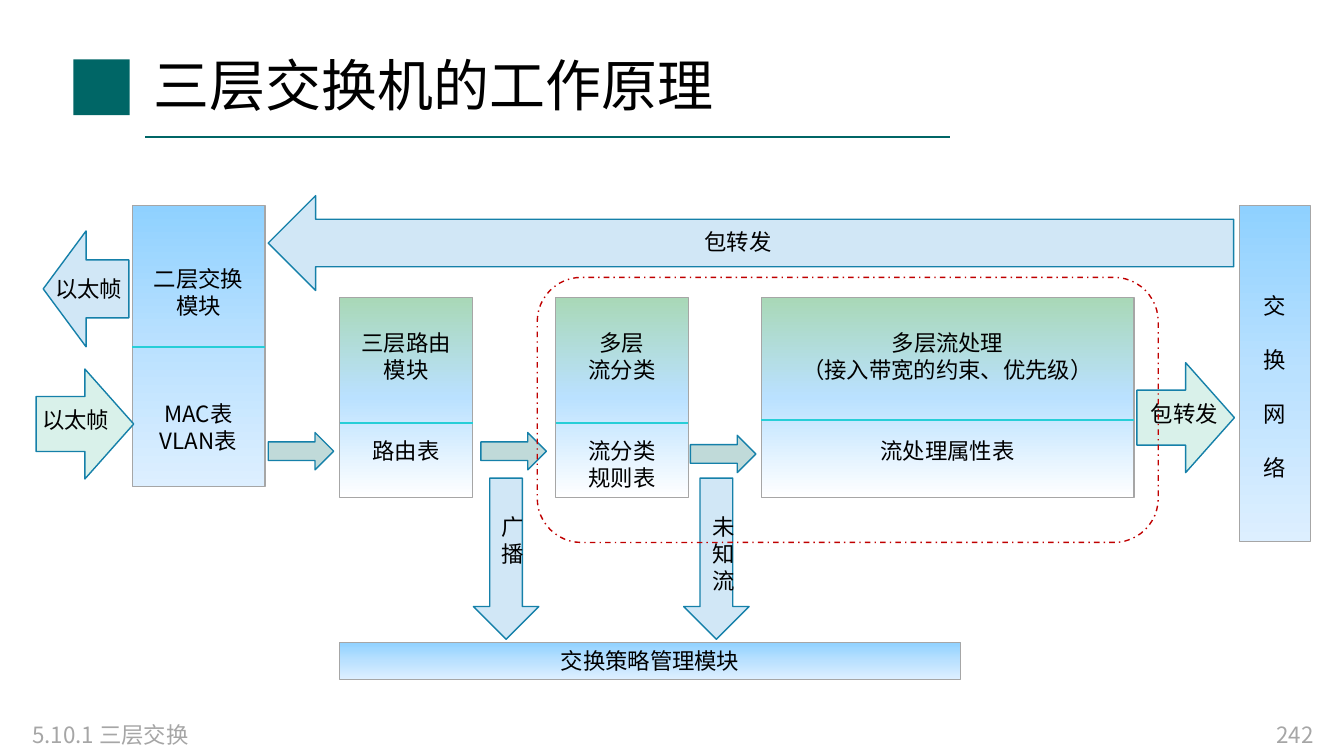
"""Builds the slide on how a layer 3 switch works."""
from copy import deepcopy

from lxml import etree
from pptx import Presentation
from pptx.dml.color import RGBColor
from pptx.enum.dml import MSO_LINE
from pptx.enum.shapes import MSO_CONNECTOR, MSO_SHAPE
from pptx.enum.text import MSO_ANCHOR, PP_ALIGN
from pptx.oxml.ns import qn
from pptx.util import Cm, Pt

RECT, ROUND = MSO_SHAPE.RECTANGLE, MSO_SHAPE.ROUNDED_RECTANGLE
LEFT, RIGHT, DOWN = MSO_SHAPE.LEFT_ARROW, MSO_SHAPE.RIGHT_ARROW, MSO_SHAPE.DOWN_ARROW
START, MID, END = PP_ALIGN.LEFT, PP_ALIGN.CENTER, PP_ALIGN.RIGHT
MIDDLE, STRAIGHT, DASH = MSO_ANCHOR.MIDDLE, MSO_CONNECTOR.STRAIGHT, MSO_LINE.DASH_DOT

FONT = "Noto Sans CJK SC"
ROW = 0.68
PAD = 0.13
TEAL, CYAN, EDGE, GREY, RED = "006666", "27CED7", "1580A9", "A6A6A6", "C00000"
SKY, MINT, SAGE = "D1E7F6", "D9F1EA", "C0DAD9"
BLUES = ("8FD1FF", "BAE1FF", "DDEFFF")
GREENS = ("A9D8B7", "BAE1FF", "FFFFFF")

rgb = RGBColor.from_string
deck = Presentation()
deck.slide_width, deck.slide_height = Cm(33.87), Cm(19.05)
slide = deck.slides.add_slide(deck.slide_layouts[6])
shapes = slide.shapes


def draw(kind, box, fill=None, edge=None, width=1):
    shape = shapes.add_shape(kind, *map(Cm, box))
    shape.shadow.inherit = False
    if isinstance(fill, tuple):
        shape.fill.gradient()
        shape.fill.gradient_angle = 270
        stops = next(shape._element.spPr.iter(qn("a:gsLst")))
        stops.append(deepcopy(stops[0]))
        for stop, place, shade in zip(shape.fill.gradient_stops, (0, 0.5, 1), fill):
            stop.position = place
            stop.color.rgb = rgb(shade)
    elif fill:
        shape.fill.solid()
        shape.fill.fore_color.rgb = rgb(fill)
    else:
        shape.fill.background()
    if edge:
        shape.line.color.rgb = rgb(edge)
        shape.line.width = Pt(width)
    else:
        shape.line.fill.background()
    return shape


def write(shape, rows, align=MID, side=0, ink="000000", size=16):
    frame = shape.text_frame
    frame.word_wrap = True
    frame.vertical_anchor = MSO_ANCHOR.TOP
    frame.margin_left = frame.margin_right = Cm(side)
    frame.margin_top = Cm(PAD + rows[0][0] * ROW)
    frame.margin_bottom = Cm(PAD)
    for i, (skip, text) in enumerate(rows):
        para = frame.add_paragraph() if i else frame.paragraphs[0]
        para.text = text
        para.alignment = align
        para.line_spacing = Cm(ROW)
        if i and skip:
            para.space_before = Cm(skip * ROW)
        para.font.size = Pt(size)
        para.font.name = FONT
        para.font.color.rgb = rgb(ink)
        base = para._p.pPr.find(qn("a:defRPr"))
        etree.SubElement(base, qn("a:ea"), typeface=FONT)
    return frame


draw(RECT, (1.85, 1.5, 1.42, 1.4), TEAL)

blocks = [
    ((3.33, 5.18, 3.35, 7.09), BLUES,
     [(2, "二层交换"), (0, "模块"), (3, "MAC表"), (0, "VLAN表")]),
    ((8.56, 7.49, 3.35, 5.05), GREENS,
     [(1, "三层路由"), (0, "模块"), (2, "路由表")]),
    ((14, 7.49, 3.35, 5.05), GREENS,
     [(1, "多层"), (0, "流分类"), (2, "流分类"), (0, "规则表")]),
    ((19.18, 7.49, 9.4, 5.05), GREENS,
     [(1, "多层流处理"), (0, "（接入带宽的约束、优先级）"), (2, "流处理属性表")]),
    ((31.24, 5.18, 1.78, 8.46), BLUES,
     [(3, "交"), (1, "换"), (1, "网"), (1, "络")]),
    ((8.56, 16.18, 15.65, 0.94), BLUES, [(0, "交换策略管理模块")]),
]
for box, fill, rows in blocks:
    write(draw(RECT, box, fill, GREY, 0.75), rows)

rules = [
    (3.66, 23.93, 3.45, TEAL),
    (3.33, 6.68, 8.74, CYAN),
    (8.56, 11.91, 10.67, CYAN),
    (14, 17.35, 10.67, CYAN),
    (19.18, 28.58, 10.59, CYAN),
]
for x1, x2, y, ink in rules:
    rule = shapes.add_connector(STRAIGHT, Cm(x1), Cm(y), Cm(x2), Cm(y))
    rule.line.color.rgb = rgb(ink)
    rule.line.width = Pt(1.5)
    etree.SubElement(rule._element.spPr, qn("a:effectLst"))

arrows = [
    (LEFT, (1.09, 5.82, 2.16, 2.92), SKY),
    (RIGHT, (0.91, 9.3, 2.46, 2.77), MINT),
    (RIGHT, (6.76, 10.9, 1.65, 0.94), SAGE),
    (RIGHT, (12.12, 10.9, 1.65, 0.94), SAGE),
    (RIGHT, (17.4, 10.97, 1.65, 0.94), SAGE),
    (LEFT, (6.76, 4.93, 24.33, 2.39), SKY),
    (RIGHT, (28.65, 9.14, 2.46, 2.77), MINT),
    (DOWN, (11.93, 12.05, 1.65, 4.06), SKY),
    (DOWN, (17.23, 12.05, 1.65, 4.06), SKY),
]
for kind, box, fill in arrows:
    draw(kind, box, fill, EDGE)

labels = [
    ((1.12, 6.81, 2.24, 0.94), ["以太帧"]),
    ((0.79, 10.11, 2.24, 0.94), ["以太帧"]),
    ((17.48, 5.61, 2.24, 0.94), ["包转发"]),
    ((28.73, 9.96, 2.24, 0.94), ["包转发"]),
    ((12.62, 12.8, 0.6, 1.63), ["广", "播"]),
    ((17.93, 12.8, 0.6, 2.31), ["未知流"]),
]
for box, lines in labels:
    write(shapes.add_textbox(*map(Cm, box)), [(0, line) for line in lines])

draw(ROUND, (13.54, 6.99, 15.65, 6.68), None, RED).line.dash_style = DASH

title = shapes.add_textbox(Cm(3.63), Cm(1.02), Cm(22.83), Cm(2.44))
frame = write(title, [(0, "三层交换机的工作原理")], START, 0.25, size=40)
frame.vertical_anchor = MIDDLE
frame.paragraphs[0].line_spacing = 0.9

for x, width, text, align in [(0.56, 7.62, "5.10.1 三层交换", START), (24.13, 9.22, "242", END)]:
    foot = shapes.add_textbox(Cm(x), Cm(18.03), Cm(width), Cm(1.02))
    write(foot, [(0, text)], align, 0.25, GREY)

deck.save("out.pptx")
